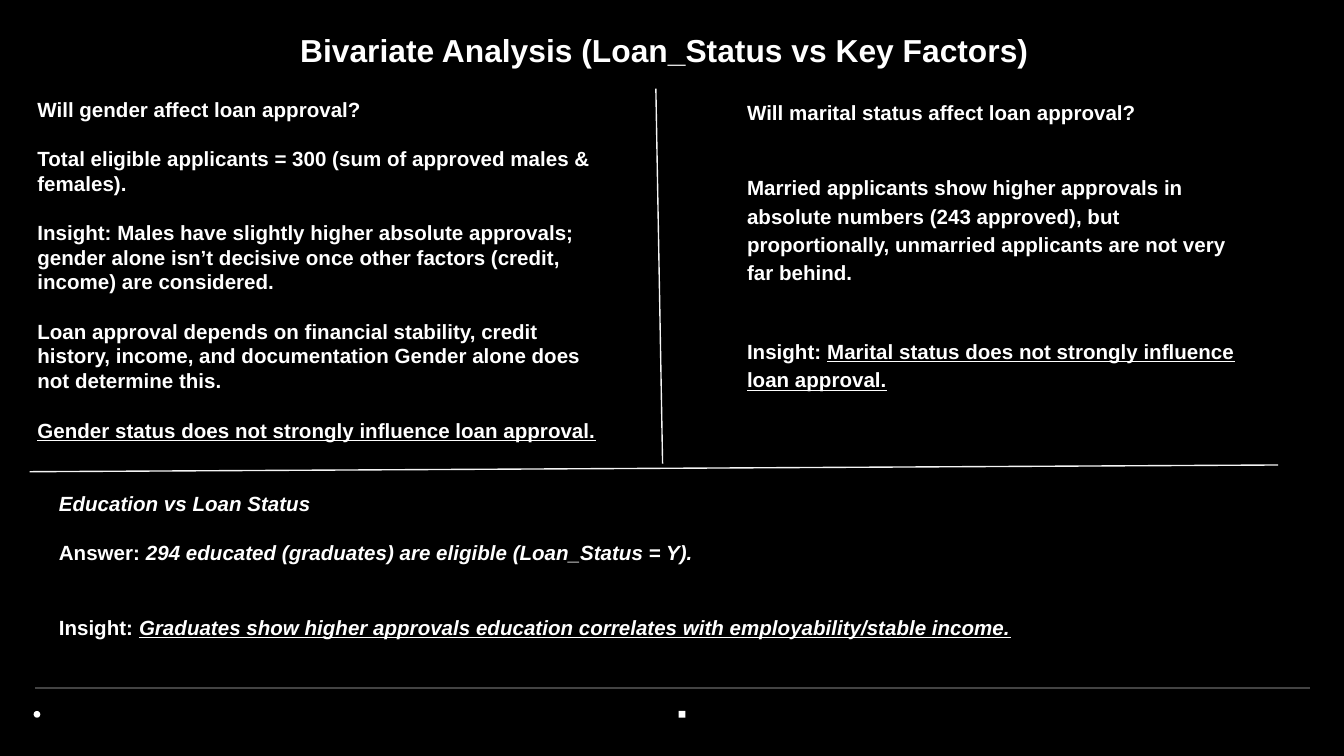
from pptx import Presentation
from pptx.dml.color import RGBColor
from pptx.enum.shapes import MSO_CONNECTOR as CONN, MSO_SHAPE as SHAPE
from pptx.enum.text import MSO_ANCHOR as ANCHOR, PP_ALIGN as ALIGN
from pptx.oxml.ns import qn
from pptx.util import Inches, Pt
from lxml import etree

BLACK = RGBColor(0x00, 0x00, 0x00)
WHITE = RGBColor(0xFF, 0xFF, 0xFF)
PALE = RGBColor(0xF5, 0xF5, 0xF5)
GRAY = RGBColor(0x43, 0x43, 0x43)

GENDER = [
    (0, [("Will gender affect loan approval?", "")]),
    (13.25, [("Total eligible applicants = 300 (sum of approved males & females).", "")]),
    (13.25, [("Insight: Males have slightly higher absolute approvals; gender alone "
              "isn’t decisive once other factors (credit, income) are considered.", "")]),
    (13.25, [("Loan approval depends on financial stability, credit history, income, "
              "and documentation Gender alone does not determine this.", "")]),
    (13.25, [("Gender status does not strongly influence loan approval.", "u")]),
]
MARITAL = [
    (0, [("Will marital status affect loan approval?", "")]),
    (25, [("Married applicants show higher approvals in absolute numbers (243 approved), "
           "but proportionally, unmarried applicants are not very far behind.", "")]),
    (27, [("Insight: ", ""),
          ("Marital status does not strongly influence loan approval.", "u")]),
]
EDUCATION = [
    (0, [("Education vs Loan Status", "i")]),
    (13.25, [("Answer: ", ""),
             ("294 educated (graduates) are eligible (Loan_Status = Y).", "i")]),
    (27, [("Insight: ", ""),
          ("Graduates show higher approvals education correlates with "
           "employability/stable income.", "iu")]),
]


def set_frame(tf):
    tf.margin_left = tf.margin_right = tf.margin_top = tf.margin_bottom = Inches(0.1)
    tf.vertical_anchor = ANCHOR.TOP


def set_font(font, size):
    font.name = "Arial"
    font.size = Pt(size)
    font.bold = True
    font.color.rgb = WHITE


def add_line(slide, x1, y1, x2, y2, color):
    line = slide.shapes.add_connector(
        CONN.STRAIGHT, Inches(x1), Inches(y1), Inches(x2), Inches(y2))
    line.line.color.rgb = color
    line.line.width = Pt(0.75)
    etree.SubElement(line._element.spPr, qn("a:effectLst"))


def add_title(slide, x, y, w, h, text):
    sp = slide.shapes.title
    sp.left, sp.top, sp.width, sp.height = map(Inches, (x, y, w, h))
    tf = sp.text_frame
    set_frame(tf)
    tf.word_wrap = False
    p = tf.paragraphs[0]
    p.text = text
    p.alignment = ALIGN.CENTER
    set_font(p.font, 17)


def add_findings(slide, x, y, w, h, findings, spacing=None):
    tf = slide.shapes.add_textbox(Inches(x), Inches(y), Inches(w), Inches(h)).text_frame
    set_frame(tf)
    tf.word_wrap = True
    for i, (gap, runs) in enumerate(findings):
        p = tf.add_paragraph() if i else tf.paragraphs[0]
        p.space_before = Pt(gap)
        if spacing:
            p.line_spacing = spacing
        set_font(p.font, 11)
        for text, style in runs:
            r = p.add_run()
            r.text = text
            if "i" in style:
                r.font.italic = True
            if "u" in style:
                r.font.underline = True


def add_footer(slide, x, y, w):
    add_line(slide, x, y, x + w, y, GRAY)
    for kind, dx in ((SHAPE.OVAL, -0.01), (SHAPE.RECTANGLE, 4.79)):
        sp = slide.shapes.add_shape(
            kind, Inches(x + dx), Inches(y + 0.17), Inches(0.05), Inches(0.05))
        sp.shadow.inherit = False
        sp.fill.solid()
        sp.fill.fore_color.rgb = WHITE
        sp.line.fill.background()


def main():
    prs = Presentation()
    prs.slide_width = Inches(10)
    prs.slide_height = prs.slide_width * 9 // 16
    s = prs.slides.add_slide(prs.slide_layouts[5])
    s.background.fill.solid()
    s.background.fill.fore_color.rgb = BLACK

    add_footer(s, 0.26, 5.12, 9.49)
    add_title(s, 2.13, 0.13, 5.63, 0.49, "Bivariate Analysis (Loan_Status vs Key Factors)")
    add_findings(s, 0.18, 0.62, 4.51, 3.16, GENDER)
    add_findings(s, 5.46, 0.62, 3.92, 2.83, MARITAL, 1.15)
    add_line(s, 0.22, 3.51, 9.51, 3.46, PALE)
    add_line(s, 4.88, 0.66, 4.93, 3.45, PALE)
    add_findings(s, 0.34, 3.55, 8.86, 1.69, EDUCATION)
    prs.save("out.pptx")


if __name__ == "__main__":
    main()
